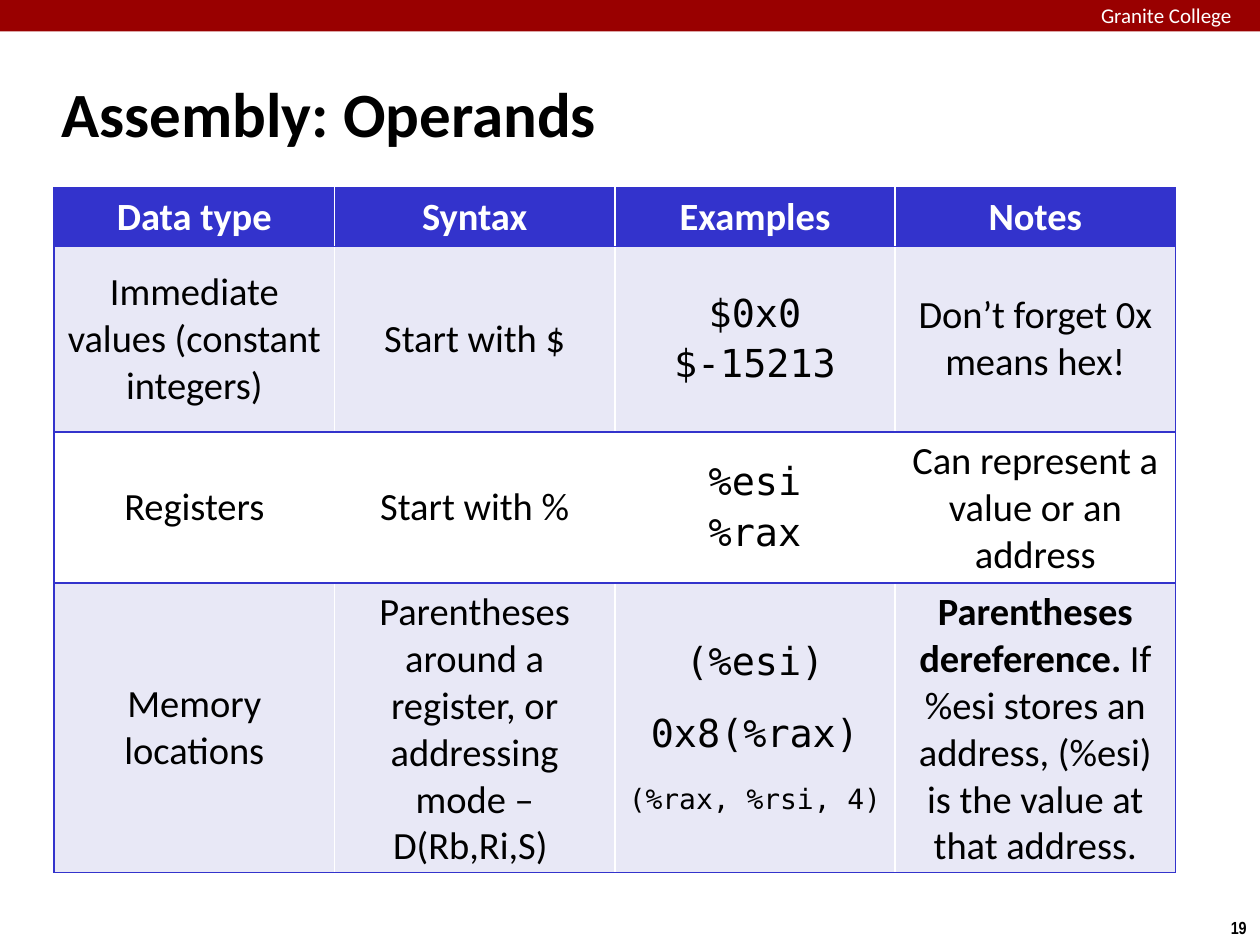
import dataclasses
import typing

import lxml.etree
import pptx
import pptx.dml.color
import pptx.enum.shapes
import pptx.enum.text
import pptx.oxml.ns
import pptx.util

Inches = pptx.util.Inches
Pt = pptx.util.Pt
ALIGN = pptx.enum.text.PP_ALIGN
MIDDLE = pptx.enum.text.MSO_ANCHOR.MIDDLE
SANS, MONO = "Calibri", "DejaVu Sans Mono"
BLUE, PALE, WHITE, BLACK, RED = "3333CC", "E8E8F6", "FFFFFF", "000000", "990000"


@dataclasses.dataclass
class Run:
    text: str
    size: float = 22
    face: str = SANS
    bold: bool = False
    color: str = BLACK


@dataclasses.dataclass
class Line:
    runs: list[Run]
    after: float = 0


@dataclasses.dataclass
class Label:
    place: tuple[float, float, float, float]
    run: Run
    wrap: bool = True
    anchor: typing.Any = pptx.enum.text.MSO_ANCHOR.TOP


@dataclasses.dataclass
class Row:
    height: float
    fill: str
    cells: list[list[Line]]


def paint(code: str) -> pptx.dml.color.RGBColor:
    return pptx.dml.color.RGBColor.from_string(code)


def style(target: typing.Any, values: dict[str, typing.Any]) -> None:
    for name, value in values.items():
        setattr(target, name, value)


def flood(target: typing.Any, code: str) -> None:
    target.fill.solid()
    target.fill.fore_color.rgb = paint(code)


def write(frame: typing.Any, lines: list[Line], align: typing.Any) -> None:
    for index, line in enumerate(lines):
        para = frame.add_paragraph() if index else frame.paragraphs[0]
        style(para, {"alignment": align, "space_after": Pt(line.after)})
        for part in line.runs:
            run = para.add_run()
            run.text = part.text
            style(run.font, {"size": Pt(part.size), "name": part.face, "bold": part.bold})
            run.font.color.rgb = paint(part.color)


def border(cell: typing.Any, sides: list[str]) -> None:
    props = cell._tc.get_or_add_tcPr()
    tag = pptx.oxml.ns.qn
    for index, side in enumerate(sides):
        edge = lxml.etree.Element(tag("a:ln" + side), w=str(Pt(1)))
        solid = lxml.etree.SubElement(edge, tag("a:solidFill"))
        lxml.etree.SubElement(solid, tag("a:srgbClr"), val=BLUE)
        props.insert(index, edge)


def put(slide: typing.Any, label: Label) -> None:
    box = slide.shapes.add_textbox(*map(Inches, label.place))
    style(box.text_frame, {"word_wrap": label.wrap, "vertical_anchor": label.anchor})
    write(box.text_frame, [Line([label.run])], ALIGN.LEFT)


def grid(slide: typing.Any, rows: list[Row]) -> None:
    count = len(rows[0].cells)
    height = sum(row.height for row in rows)
    place = map(Inches, (0.43, 1.49, 8.9, height))
    table = slide.shapes.add_table(len(rows), count, *place).table
    for top, row in enumerate(rows):
        table.rows[top].height = Inches(row.height)
        for left, lines in enumerate(row.cells):
            cell = table.cell(top, left)
            cell.vertical_anchor = MIDDLE
            flood(cell, row.fill)
            write(cell.text_frame, lines, ALIGN.CENTER)
            ends = {0: ["L"], count - 1: ["R"]}
            border(cell, ends.get(left, []) + ["T", "B"])


def head(text: str) -> list[Line]:
    return [Line([Run(text, bold=True, color=WHITE)])]


def plain(text: str) -> list[Line]:
    return [Line([Run(text)])]


def code(after: float, *texts: str) -> list[Line]:
    return [Line([Run(text, face=MONO)], after) for text in texts]


ROWS = [
    Row(0.44, BLUE, [head(text) for text in ("Data type", "Syntax", "Examples", "Notes")]),
    Row(1.47, PALE, [
        plain("Immediate values (constant integers)"),
        plain("Start with $"),
        code(3.5, "$0x0", "$-15213"),
        plain("Don’t forget 0x means hex!"),
    ]),
    Row(1.12, WHITE, [
        plain("Registers"),
        plain("Start with %"),
        code(3.5, "%esi", "%rax"),
        plain("Can represent a value or an address"),
    ]),
    Row(2.15, PALE, [
        plain("Memory locations"),
        plain("Parentheses around a register, or addressing mode – D(Rb,Ri,S) "),
        code(15.5, "(%esi)", "0x8(%rax)") + [Line([Run("(%rax, %rsi, 4)", 16, MONO)], 12)],
        [Line([
            Run("Parentheses dereference.", bold=True),
            Run(" If %esi stores an address, (%esi) is the value at that address."),
        ])],
    ]),
]

LABELS = [
    Label((8.64, -0.03, 1.43, 0.3), Run("Granite College", 12, color=WHITE)),
    Label((9.67, 7.23, 0.34, 0.27), Run("19", 10, "Arial Narrow", True), wrap=False),
    Label((0.39, 0.48, 8.3, 0.83), Run("Assembly: Operands", 36, bold=True), anchor=MIDDLE),
]

deck = pptx.Presentation()
style(deck, {"slide_width": Inches(10), "slide_height": Inches(7.5)})
slide = deck.slides.add_slide(deck.slide_layouts[6])
band = slide.shapes.add_shape(
    pptx.enum.shapes.MSO_SHAPE.RECTANGLE, 0, 0, Inches(10), Inches(0.25))
band.shadow.inherit = False
flood(band, RED)
band.line.fill.background()
for label in LABELS:
    put(slide, label)
grid(slide, ROWS)
deck.save("out.pptx")
